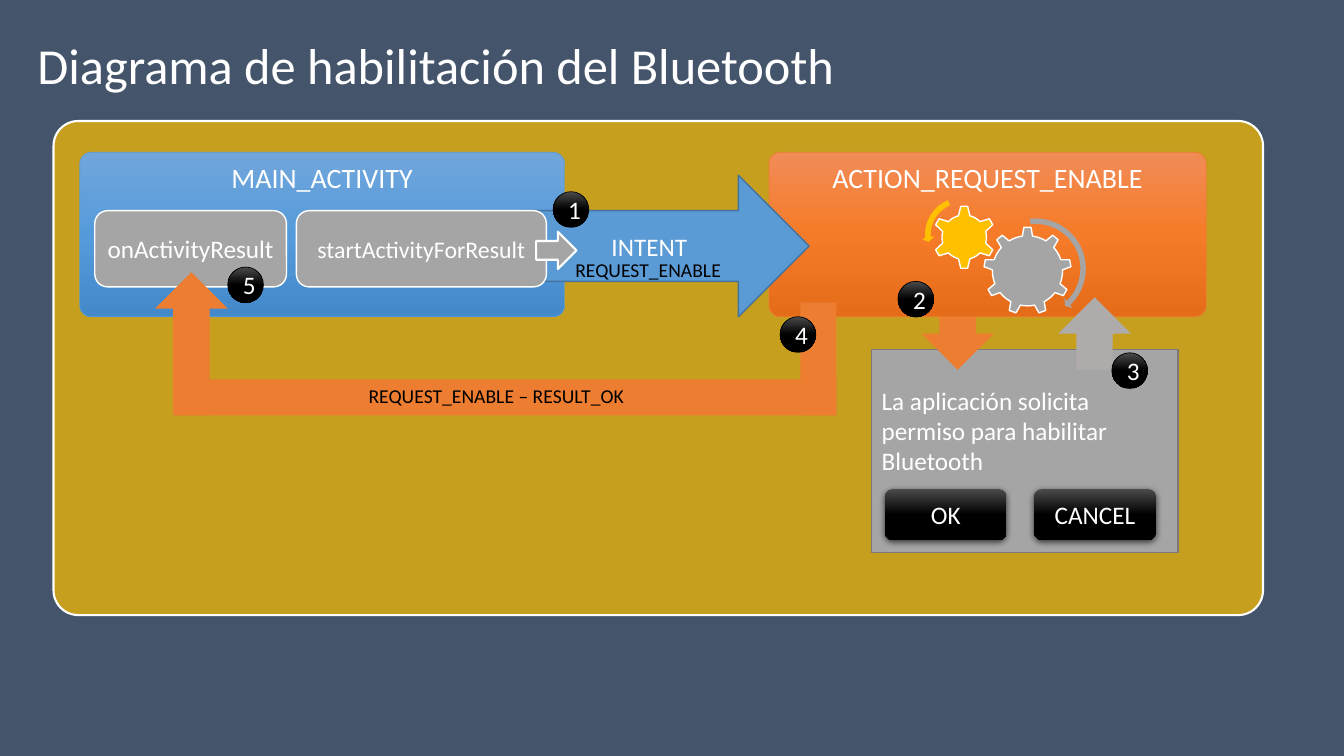
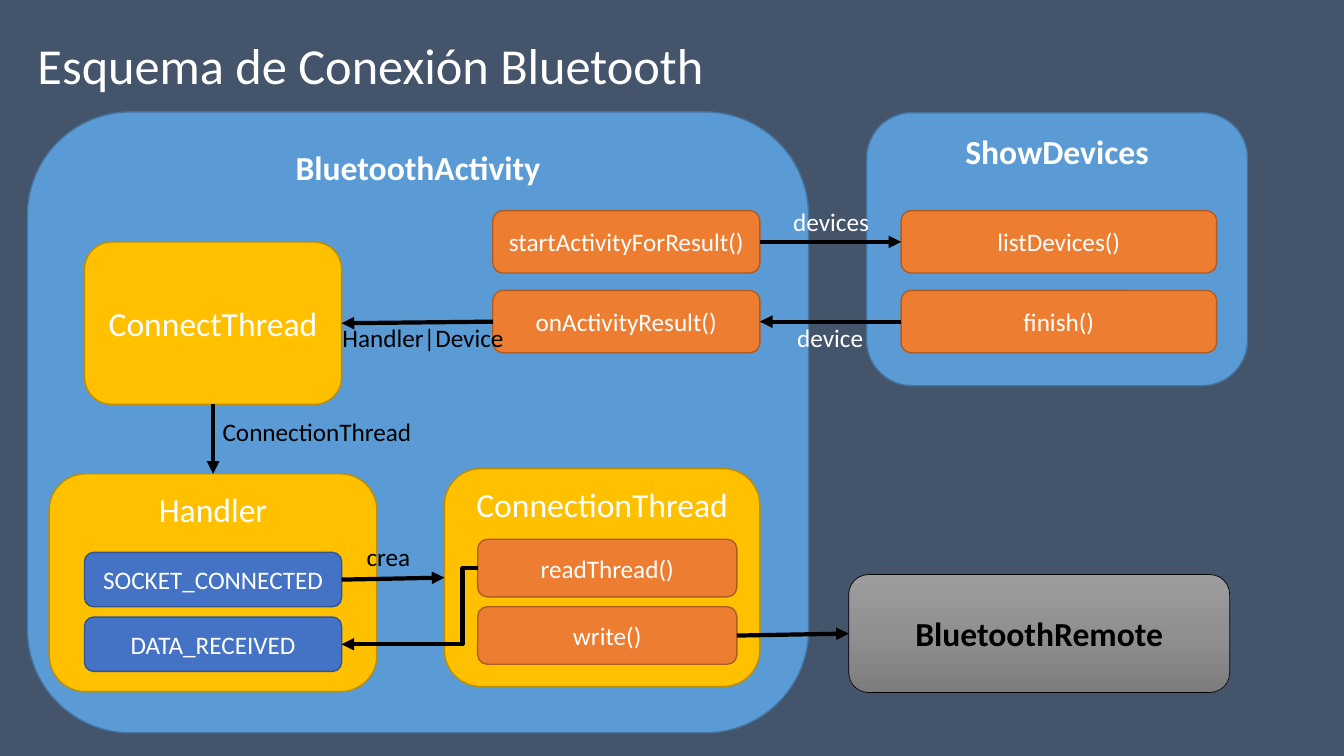
from lxml.etree import SubElement
from pptx import Presentation
from pptx.dml.color import RGBColor
from pptx.enum.shapes import MSO_CONNECTOR as Link, MSO_SHAPE as Preset
from pptx.enum.text import MSO_ANCHOR as Anchor, MSO_AUTO_SIZE as AutoSize, PP_ALIGN as Align
from pptx.oxml.ns import qn
from pptx.util import Cm, Pt

FONT = "Calibri"
COLORS = {
    "slate": "44546A", "white": "FFFFFF", "black": "000000",
    "blue": "5B9BD5", "blue_edge": "43739E",
    "orange": "ED7D31", "orange_edge": "AF5C24",
    "gold": "FFC000", "gold_edge": "BD8E00",
    "navy": "4472C4", "navy_edge": "325491",
    "gray": "A5A5A5", "gray_edge": "7A7A7A", "pale": "AFABAB",
}
GRADIENTS = {
    "blue_fade": ("71A6DB", "559BDB", "448ACA"),
    "orange_fade": ("F18C57", "F67B28", "E56C19"),
    "black_fade": ("4B4B4B", "000000", "000000"),
    "gray_fade": ("9D9D9D", "909090", "7C7C7C"),
}
TOP, LEFT, BOTTOM, RIGHT = range(4)


def rgb(name):
    """Return the named colour."""
    return RGBColor.from_string(COLORS[name])


def write(shape, text, size, color="white", bold=False, align=Align.CENTER):
    """Put one formatted paragraph into a shape."""
    shape.text_frame.text = text
    paragraph = shape.text_frame.paragraphs[0]
    paragraph.alignment = align
    font = paragraph.runs[0].font
    font.name, font.size, font.bold = FONT, Pt(size), bold
    font.color.rgb = rgb(color)


def fade(shape, stops):
    """Fill a shape with a vertical gradient of evenly spaced stops."""
    shape.fill.gradient()
    shape.fill.gradient_angle = 270
    stop_list = shape.element.spPr.find(qn("a:gradFill")).find(qn("a:gsLst"))
    for old_stop in list(stop_list):
        stop_list.remove(old_stop)
    for index, color in enumerate(stops):
        stop = SubElement(stop_list, qn("a:gs"), pos=str(index * 100000 // (len(stops) - 1)))
        SubElement(stop, qn("a:srgbClr"), val=color)


def figure(slide, preset, box, fill, edge=None, edge_width=1, adjust=()):
    """Add a flat preset shape with its fill and outline."""
    shape = slide.shapes.add_shape(preset, *map(Cm, box))
    shape.shadow.inherit = False
    for index, value in enumerate(adjust):
        shape.adjustments[index] = value
    if fill in GRADIENTS:
        fade(shape, GRADIENTS[fill])
    else:
        shape.fill.solid()
        shape.fill.fore_color.rgb = rgb(fill)
    if edge:
        shape.line.color.rgb = rgb(edge)
        shape.line.width = Pt(edge_width)
    else:
        shape.line.fill.background()
    return shape


def block(slide, text, box, fill, edge=None, size=18, anchor=Anchor.MIDDLE, color="white",
          bold=False, preset=Preset.ROUNDED_RECTANGLE, **look):
    """Add a shape that carries centred text."""
    shape = figure(slide, preset, box, fill, edge, **look)
    write(shape, text, size, color, bold)
    shape.text_frame.vertical_anchor = anchor
    return shape


def label(slide, text, box, size=18, color="black"):
    """Add a one-line free text."""
    note = slide.shapes.add_textbox(*map(Cm, box))
    write(note, text, size, color, align=Align.LEFT)
    note.text_frame.word_wrap = False


def method(slide, text, box, size):
    """Add a gray method box whose text uses its full width."""
    frame = block(slide, text, box, "gray", "white", size).text_frame
    frame.margin_left = frame.margin_right = 0


def button(slide, text, left):
    """Add a dialog button with a soft shadow."""
    shape = block(slide, text, (left, 12.32, 3.07, 1.3), "black_fade")
    effects = shape.element.spPr.find(qn("a:effectLst"))
    shadow = SubElement(effects, qn("a:outerShdw"), blurRad=str(Pt(4.5)), dist=str(Pt(1.5)),
                        dir="5400000", algn="ctr", rotWithShape="0")
    tint = SubElement(shadow, qn("a:srgbClr"), val=COLORS["black"])
    SubElement(tint, qn("a:alpha"), val="63000")


def dialog(slide):
    """Add the permission dialog and its buttons."""
    window = figure(slide, Preset.RECTANGLE, (21.97, 8.81, 7.72, 5.11), "gray", "gray_edge")
    write(window, "La aplicación solicita permiso para habilitar Bluetooth", 18, align=Align.LEFT)
    window.text_frame.vertical_anchor = Anchor.TOP
    window.text_frame.margin_top = Cm(0.9)
    for text, left in (("OK", 22.3), ("CANCEL", 26.06)):
        button(slide, text, left)


def gears(slide):
    """Add the two gears and their turning arrows."""
    figure(slide, Preset.GEAR_9, (24.79, 5.72, 2.21, 2.21), "gray", "white")
    figure(slide, Preset.GEAR_6, (23.5, 5.18, 1.6, 1.6), "gold", "white")
    figure(slide, Preset.CIRCULAR_ARROW, (24.74, 5.41, 2.72, 2.72), "gray",
           adjust=(0.05, 3.13, 27.82, 158.07, 0.06))
    figure(slide, Preset.LEFT_CIRCULAR_ARROW, (23.22, 4.88, 2.06, 2.06), "gold",
           adjust=(0.07, 4.3, 104.89, 148.38, 0.08))


def return_path(slide):
    """Add the orange path that carries the result back."""
    figure(slide, Preset.RECTANGLE, (20.17, 7.62, 0.91, 2.84), "orange")
    figure(slide, Preset.RECTANGLE, (4.48, 9.56, 16.6, 0.91), "orange")
    figure(slide, Preset.UP_ARROW, (3.91, 6.86, 1.83, 3.61), "orange")
    label(slide, "REQUEST_ENABLE – RESULT_OK", (9.04, 9.55, 7.01, 0.86), 14)


def link(slide, source, source_side, target, target_side, kind=Link.STRAIGHT, bend=None):
    """Join two shapes with a black arrow."""
    arrow = slide.shapes.add_connector(kind, 0, 0, 0, 0)
    arrow.begin_connect(source, source_side)
    arrow.end_connect(target, target_side)
    arrow.line.color.rgb = rgb("black")
    arrow.line.width = Pt(3)
    properties = arrow.element.spPr
    SubElement(properties.find(qn("a:ln")), qn("a:tailEnd"), type="triangle")
    SubElement(properties, qn("a:effectLst"))
    if bend:
        guides = properties.find(qn("a:prstGeom")).find(qn("a:avLst"))
        SubElement(guides, qn("a:gd"), name="adj1", fmla=f"val {bend}")


def titled_slide(deck, text):
    """Add a slide with the shared title style."""
    slide = deck.slides.add_slide(deck.slide_layouts[5])
    title = slide.shapes.title
    title.left, title.top, title.width, title.height = map(Cm, (0.69, 0.74, 30, 1.8))
    write(title, text, 36, align=Align.LEFT)
    title.text_frame.vertical_anchor = Anchor.TOP
    title.text_frame.auto_size = AutoSize.NONE
    return slide


def enabling_slide(deck):
    """Build the diagram of how the radio gets enabled."""
    slide = titled_slide(deck, "Diagrama de habilitación del Bluetooth")
    panel = figure(slide, Preset.ROUNDED_RECTANGLE, (1.35, 3.05, 30.48, 12.45), "gold", "white",
                   1.5, (0.05,))
    panel_color = panel.element.spPr.find(qn("a:solidFill"))[0]
    SubElement(panel_color, qn("a:alpha"), val="70000")
    activity = {"size": 20, "anchor": Anchor.TOP, "edge_width": 0.5, "adjust": (0.07,)}
    block(slide, "MAIN_ACTIVITY", (2.01, 3.84, 12.22, 4.14), "blue_fade", "blue", **activity)
    dialog(slide)
    method(slide, "onActivityResult", (2.39, 5.31, 4.83, 1.92), 18)
    figure(slide, Preset.DOWN_ARROW, (23.22, 7.49, 1.83, 1.83), "orange")
    block(slide, "ACTION_REQUEST_ENABLE", (19.38, 3.84, 11.02, 4.14), "orange_fade", "orange",
          **activity)
    gears(slide)
    figure(slide, Preset.UP_ARROW, (26.67, 7.49, 1.83, 1.83), "pale")
    block(slide, "INTENT", (13.23, 4.42, 7.16, 3.56), "blue", "blue_edge",
          preset=Preset.RIGHT_ARROW)
    label(slide, "REQUEST_ENABLE", (14.25, 6.38, 4.22, 0.86), 14)
    return_path(slide)
    method(slide, "startActivityForResult", (7.47, 5.31, 6.3, 1.92), 17)
    figure(slide, Preset.RIGHT_ARROW, (13.51, 5.84, 1.02, 0.94), "gray", "white", 1.5)
    steps = ((13.94, 4.83), (22.63, 7.09), (28.02, 8.89), (19.66, 7.98), (5.74, 6.73))
    for number, (left, top) in enumerate(steps, 1):
        block(slide, str(number), (left, top, 0.9, 0.9), "black_fade", "black",
              preset=Preset.OVAL, edge_width=0.5)


def connection_slide(deck):
    """Build the scheme of the connection threads."""
    slide = titled_slide(deck, "Esquema de Conexión Bluetooth")
    blue, gold = ("blue", "blue_edge"), ("gold", "gold_edge")
    orange, navy = ("orange", "orange_edge"), ("navy", "navy_edge")
    heading = {"size": 24, "anchor": Anchor.TOP}

    block(slide, "BluetoothActivity", (0.69, 2.82, 19.69, 15.65), *blue, bold=True, **heading)
    block(slide, "ShowDevices", (21.84, 2.84, 9.6, 6.88), *blue, bold=True, **heading)
    handler = block(slide, "Handler", (1.24, 11.94, 8.26, 5.49), *gold, **heading)
    connection = block(slide, "ConnectionThread", (11.2, 11.81, 7.95, 5.49), *gold, **heading)
    connect = block(slide, "ConnectThread", (2.13, 6.1, 6.48, 4.09), *gold, size=24)
    remote = block(slide, "BluetoothRemote", (21.39, 14.48, 9.6, 2.97), "gray_fade", "black",
                   size=24, color="black", bold=True, edge_width=0.5)

    def pair(texts, left, top, width, height, step, paint):
        """Stack two equal boxes."""
        return [block(slide, text, (left, top + row * step, width, height), *paint)
                for row, text in enumerate(texts)]

    start, result = pair(("startActivityForResult()", "onActivityResult()"),
                         12.42, 5.31, 6.73, 1.57, 2.01, orange)
    devices, finish = pair(("listDevices()", "finish()"), 22.71, 5.31, 7.95, 1.57, 2.01, orange)
    socket, data = pair(("SOCKET_CONNECTED", "DATA_RECEIVED"),
                        2.13, 13.92, 6.48, 1.37, 1.63, navy)
    reader, writer = pair(("readThread()", "write()"), 12.04, 13.59, 6.53, 1.45, 1.7, orange)

    link(slide, start, RIGHT, devices, LEFT)
    link(slide, result, LEFT, connect, RIGHT)
    link(slide, finish, LEFT, result, RIGHT)
    link(slide, writer, RIGHT, remote, LEFT)
    link(slide, socket, RIGHT, connection, LEFT)
    link(slide, connect, BOTTOM, handler, TOP)
    link(slide, reader, LEFT, data, RIGHT, Link.ELBOW, 11100)

    for text, left, top, width, color in (
        ("Handler|Device", 8.38, 8, 4.62, "black"),
        ("ConnectionThread", 5.36, 10.36, 5.33, "black"),
        ("crea", 8.99, 13.51, 1.63, "black"),
        ("devices", 19.74, 5.08, 2.44, "white"),
        ("device", 19.84, 8, 2.21, "white"),
    ):
        label(slide, text, (left, top, width, 1.02), color=color)


def main():
    """Build and save the presentation."""
    deck = Presentation()
    deck.slide_width, deck.slide_height = Cm(33.87), Cm(19.05)
    backdrop = deck.slide_master.background.fill
    backdrop.solid()
    backdrop.fore_color.rgb = rgb("slate")
    enabling_slide(deck)
    connection_slide(deck)
    deck.save("out.pptx")


if __name__ == "__main__":
    main()
